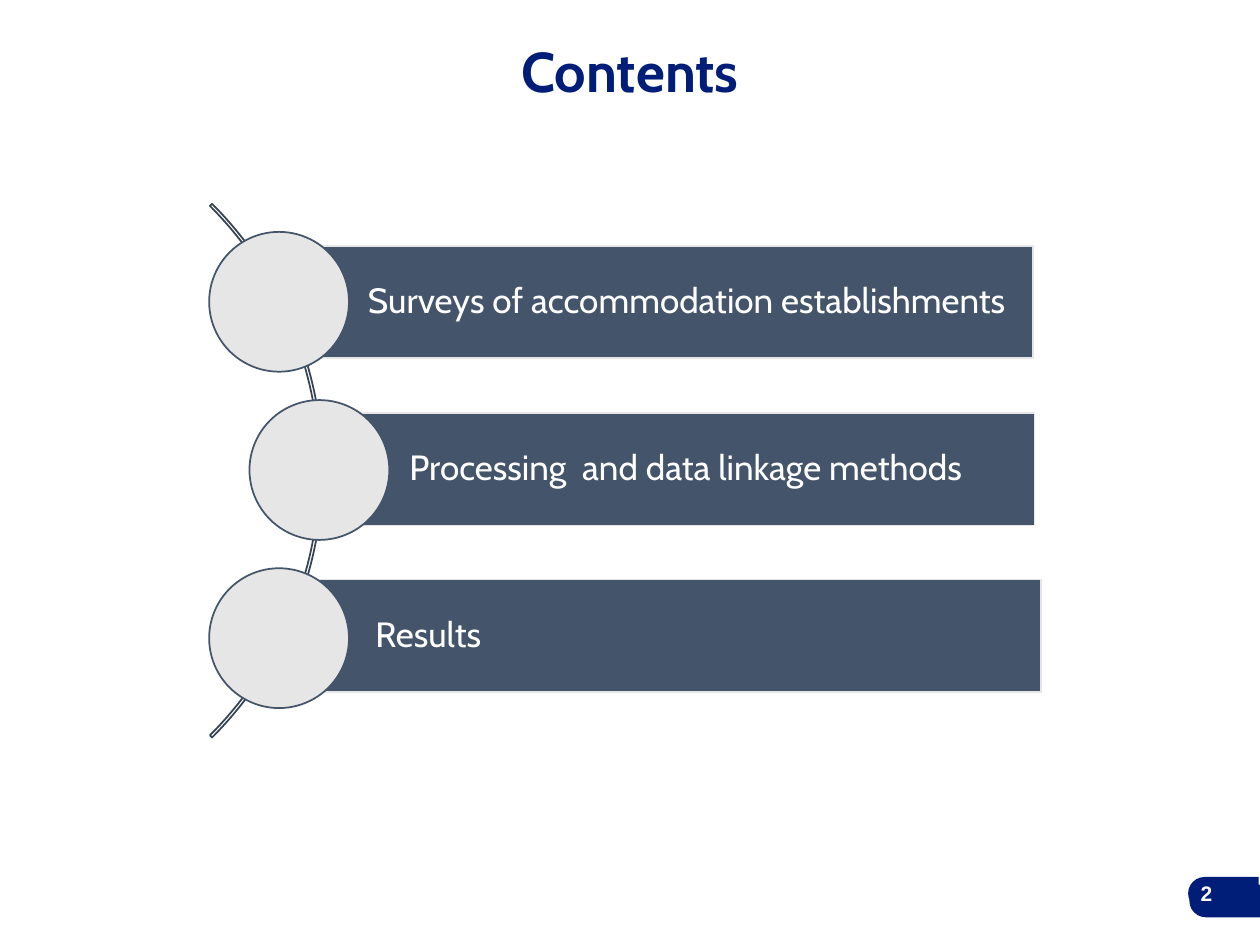
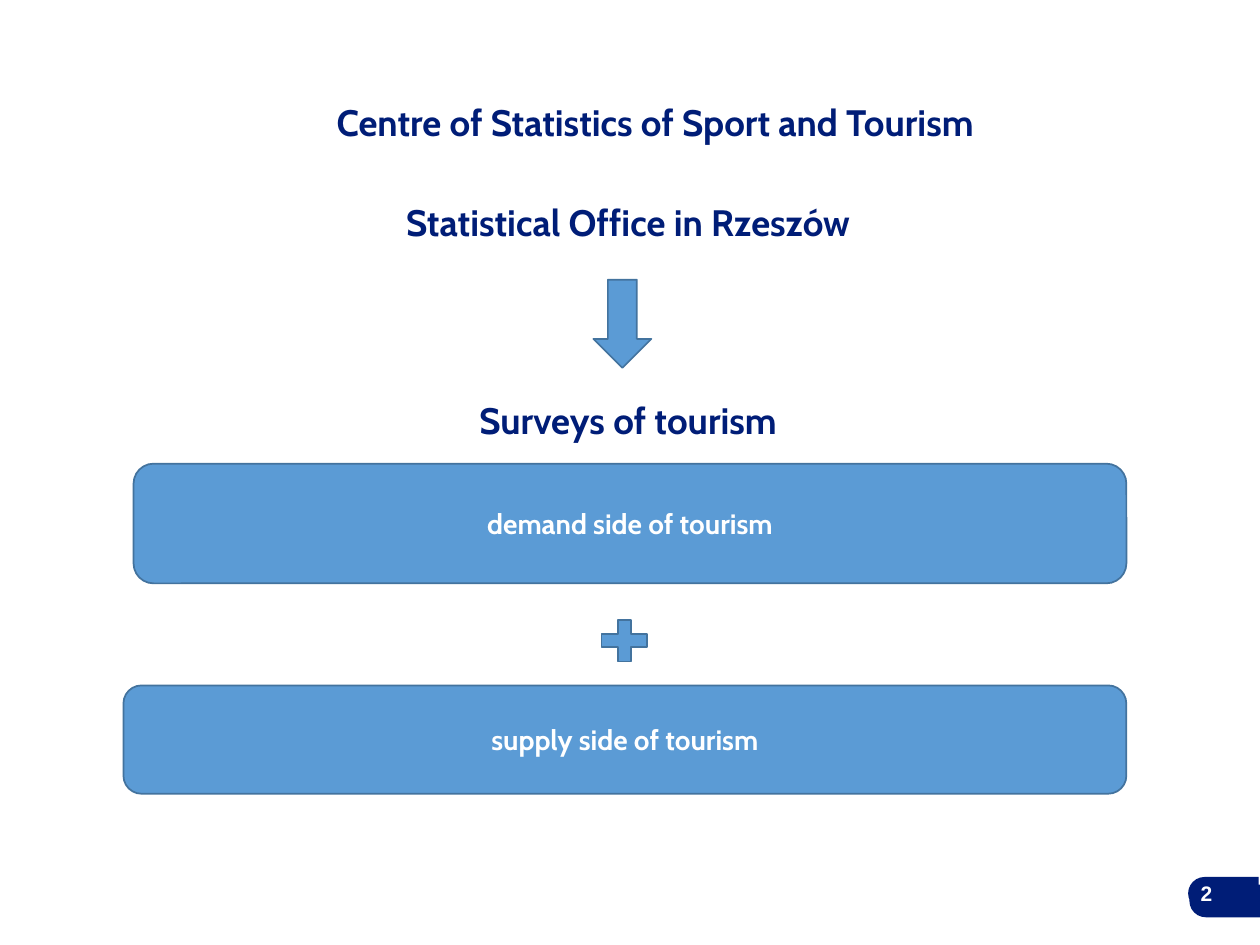
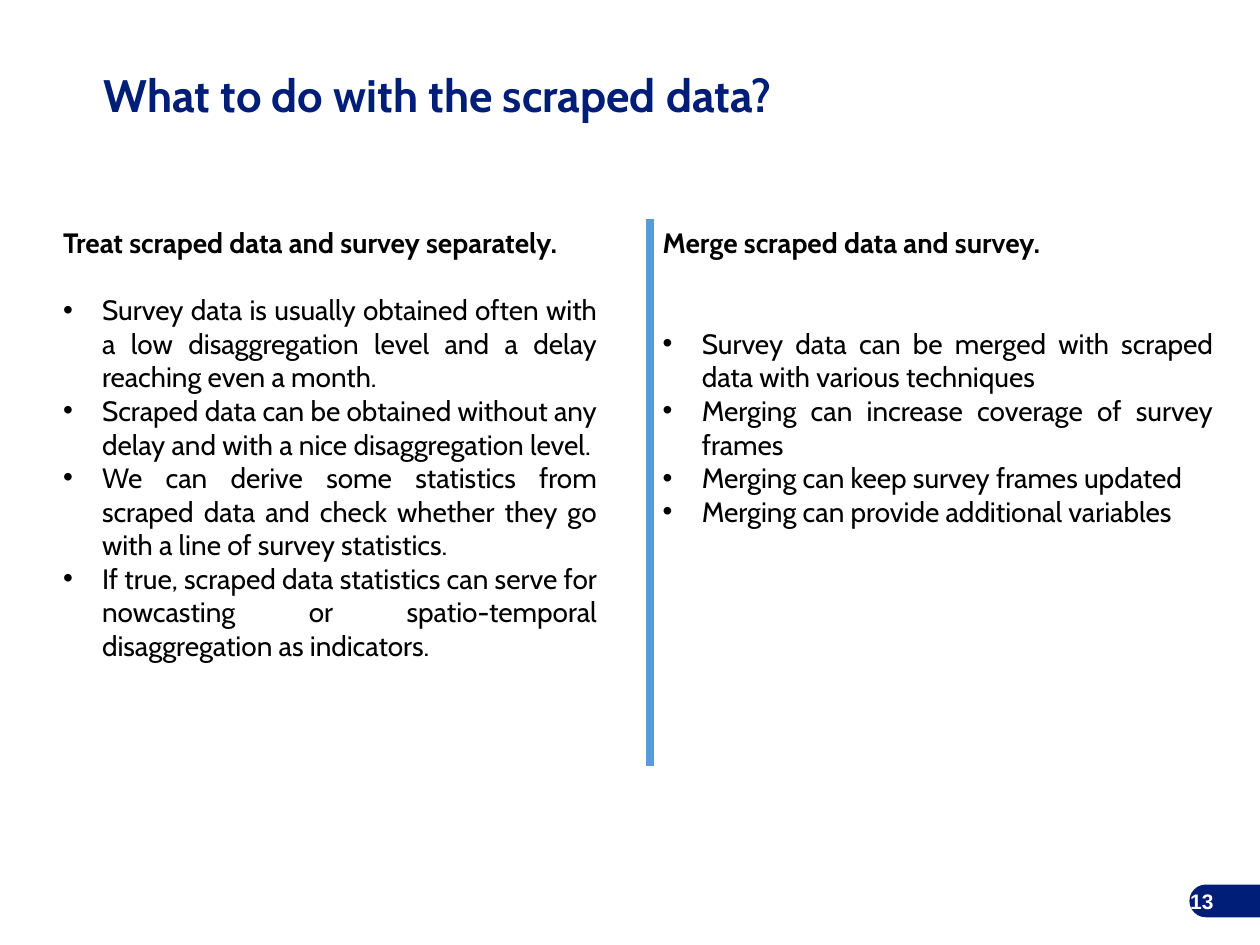
from dataclasses import dataclass

from lxml.etree import SubElement
from pptx import Presentation
from pptx.dml.color import RGBColor
from pptx.enum.shapes import MSO_CONNECTOR, MSO_SHAPE
from pptx.enum.text import MSO_ANCHOR, MSO_AUTO_SIZE, PP_ALIGN
from pptx.oxml.ns import qn
from pptx.util import Inches, Pt


@dataclass(frozen=True)
class Theme:
    navy: str = "001D77"
    slate: str = "44546A"
    arc_line: str = "364355"
    pale: str = "E7E6E6"
    blue: str = "5B9BD5"
    blue_line: str = "43739E"
    white: str = "FFFFFF"
    black: str = "000000"
    font: str = "Cabin"
    number_font: str = "Arial"
    title_size: int = 32
    question_size: int = 26
    office_size: int = 21
    bar_size: int = 20
    body_size: int = 16
    number_size: int = 12


THEME = Theme()
SLIDE_WIDTH, SLIDE_HEIGHT = 10, 7.5
TITLE_ONLY, TITLE_AND_CONTENT, TWO_CONTENT = 5, 1, 3

# Text, circle left, bar left, bar right, bar top
CONTENTS = [
    ("Surveys of accommodation establishments", 1.66, 2.21, 8.2, 1.95),
    ("Processing  and data linkage methods", 1.98, 2.54, 8.21, 3.28),
    ("Results", 1.66, 2.27, 8.26, 4.6),
]
CIRCLE_TOP, CIRCLE_PITCH, CIRCLE_SIZE, BAR_HEIGHT = 1.84, 1.335, 1.11, 0.89

OFFICE_TITLE = "Centre of Statistics of Sport and Tourism"
OFFICE_LINES = ["Statistical Office in Rzeszów", "Surveys of tourism"]
# Preset, text, box
OFFICE_SHAPES = [
    (MSO_SHAPE.DOWN_ARROW, "", (4.71, 2.22, 0.46, 0.7)),
    (MSO_SHAPE.ROUNDED_RECTANGLE, "demand side of tourism", (1.06, 3.68, 7.88, 0.95)),
    (MSO_SHAPE.MATH_PLUS, "", (4.71, 4.86, 0.49, 0.45)),
    (MSO_SHAPE.ROUNDED_RECTANGLE, "supply side of tourism", (0.98, 5.44, 7.96, 0.86)),
]

# Heading, gap after it in points, box, bullets
SCRAPED_COLUMNS = [
    ("Treat scraped data and survey separately.", 19.2, (0.4, 1.74, 4.44, 4.14), [
        "Survey data is usually obtained often with a low disaggregation level "
        "and a delay reaching even a month.",
        "Scraped data can be obtained without any delay and with a nice "
        "disaggregation level.",
        "We can derive some statistics from scraped data and check whether "
        "they go with a line of survey statistics.",
        "If true, scraped data statistics can serve for nowcasting or "
        "spatio-temporal disaggregation as indicators.",
    ]),
    ("Merge scraped data and survey.", 38.4, (5.16, 1.74, 4.57, 3.06), [
        "Survey data can be merged with scraped data with various techniques",
        "Merging can increase coverage of survey frames",
        "Merging can keep survey frames updated",
        "Merging can provide additional variables",
    ]),
]
DIVIDER_X, DIVIDER_TOP, DIVIDER_BOTTOM = 5.16, 1.74, 6.08
BULLET_INDENT = 0.31

TAB_WIDTH, TAB_HEIGHT = 0.56, 0.26
BACK_TAB, FRONT_TAB = (9.44, 7.02), (9.43, 6.96)
NUMBER_BOX, NARROW_NUMBER_BOX = (7.47, 6.89, 2.25, 0.4), (9.27, 6.95, 0.46, 0.4)


def color(value):
    return RGBColor.from_string(value)


def inches(box):
    return [Inches(length) for length in box]


def style(paragraph, size, text_color, bold=False, align=PP_ALIGN.LEFT,
          font=THEME.font, line_spacing=1.0, space_before=0):
    paragraph.alignment = align
    paragraph.line_spacing = line_spacing
    paragraph.space_before = Pt(space_before)
    paragraph.font.name = font
    paragraph.font.size = Pt(size)
    paragraph.font.bold = bold
    paragraph.font.color.rgb = color(text_color)


def set_bullet(paragraph, character=None):
    """Give the paragraph a hanging bullet, or none without a character."""
    properties = paragraph._p.get_or_add_pPr()
    indent = Inches(BULLET_INDENT) if character else 0
    properties.set("marL", str(indent))
    properties.set("indent", str(-indent))
    if character:
        SubElement(properties, qn("a:buChar")).set("char", character)
    else:
        SubElement(properties, qn("a:buNone"))


def place(placeholder, box, anchor=MSO_ANCHOR.TOP):
    placeholder.left, placeholder.top, placeholder.width, placeholder.height = inches(box)
    frame = placeholder.text_frame
    frame.auto_size = MSO_AUTO_SIZE.NONE
    frame.vertical_anchor = anchor
    return frame


def set_title(slide, text, box, size, align=PP_ALIGN.CENTER):
    frame = place(slide.shapes.title, box)
    frame.text = text
    style(frame.paragraphs[0], size, THEME.navy, True, align)


def add_shape(slide, preset, box, fill=None, line=None):
    shape = slide.shapes.add_shape(preset, *inches(box))
    shape.shadow.inherit = False
    if fill:
        shape.fill.solid()
        shape.fill.fore_color.rgb = color(fill)
    else:
        shape.fill.background()
    if line:
        shape.line.color.rgb = color(line)
        shape.line.width = Pt(1)
    else:
        shape.line.fill.background()
    return shape


def add_page_number(slide, number, tabs, box):
    for left, top in tabs:
        # Drawn upright about the same centre, then turned to round the left side
        shift = (TAB_WIDTH - TAB_HEIGHT) / 2
        tab = add_shape(slide, MSO_SHAPE.ROUND_2_SAME_RECTANGLE,
                        (left + shift, top - shift, TAB_HEIGHT, TAB_WIDTH), THEME.navy)
        tab.adjustments[0] = 0.5
        tab.rotation = 270
    frame = slide.shapes.add_textbox(*inches(box)).text_frame
    frame.word_wrap = True
    frame.vertical_anchor = MSO_ANCHOR.MIDDLE
    frame.text = number
    style(frame.paragraphs[0], THEME.number_size, THEME.white, True,
          PP_ALIGN.RIGHT, THEME.number_font)


def add_slide(presentation, layout):
    return presentation.slides.add_slide(presentation.slide_layouts[layout])


def build_contents(presentation):
    slide = add_slide(presentation, TITLE_ONLY)
    set_title(slide, "Contents", (0.3, 0.24, 9.4, 0.64), THEME.title_size)
    arc = add_shape(slide, MSO_SHAPE.BLOCK_ARC, (-3.43, 0.74, 5.99, 5.99),
                    line=THEME.arc_line)
    for index, value in enumerate((189, 27, 0.004)):
        arc.adjustments[index] = value
    for row, (text, circle_left, left, right, top) in enumerate(CONTENTS):
        bar = add_shape(slide, MSO_SHAPE.RECTANGLE, (left, top, right - left, BAR_HEIGHT),
                        THEME.slate, THEME.pale)
        frame = bar.text_frame
        frame.margin_left = Inches(0.71)
        frame.margin_right = frame.margin_top = frame.margin_bottom = Inches(0.06)
        frame.text = text
        style(frame.paragraphs[0], THEME.bar_size, THEME.white, line_spacing=0.9)
        circle_top = CIRCLE_TOP + row * CIRCLE_PITCH
        add_shape(slide, MSO_SHAPE.OVAL, (circle_left, circle_top, CIRCLE_SIZE, CIRCLE_SIZE),
                  THEME.pale, THEME.slate)
    add_page_number(slide, "2", [BACK_TAB, FRONT_TAB], NUMBER_BOX)


def build_office(presentation):
    slide = add_slide(presentation, TITLE_AND_CONTENT)
    set_title(slide, OFFICE_TITLE, (0.5, 0.74, 9.4, 0.45), THEME.office_size)
    frame = place(slide.placeholders[1], (0.26, 1.52, 9.45, 2.04), MSO_ANCHOR.BOTTOM)
    frame.margin_left = frame.margin_right = 0
    frame.text = "\n".join(OFFICE_LINES)
    for paragraph, gap in zip(frame.paragraphs, (0, 90.5)):
        set_bullet(paragraph)
        style(paragraph, THEME.office_size, THEME.navy, True, PP_ALIGN.CENTER,
              line_spacing=0.9, space_before=gap)
    for preset, text, box in OFFICE_SHAPES:
        shape = add_shape(slide, preset, box, THEME.blue, THEME.blue_line)
        if text:
            shape.text_frame.text = text
            style(shape.text_frame.paragraphs[0], THEME.body_size, THEME.white, True,
                  PP_ALIGN.CENTER)
    add_page_number(slide, "2", [BACK_TAB, FRONT_TAB], NUMBER_BOX)


def build_scraped_data(presentation):
    slide = add_slide(presentation, TWO_CONTENT)
    set_title(slide, "What to do with the scraped data?", (0.72, 0.48, 7.61, 0.54),
              THEME.question_size, PP_ALIGN.LEFT)
    for index, (heading, gap, box, bullets) in enumerate(SCRAPED_COLUMNS, start=1):
        frame = place(slide.placeholders[index], box)
        frame.text = "\n".join([heading, *bullets])
        for line, paragraph in enumerate(frame.paragraphs):
            set_bullet(paragraph, "•" if line else None)
            style(paragraph, THEME.body_size, THEME.black, line == 0, PP_ALIGN.JUSTIFY,
                  space_before=gap if line == 1 else 0)
    divider = slide.shapes.add_connector(
        MSO_CONNECTOR.STRAIGHT,
        *inches((DIVIDER_X, DIVIDER_TOP, DIVIDER_X, DIVIDER_BOTTOM)))
    divider.line.color.rgb = color(THEME.blue)
    divider.line.width = Pt(4.5)
    SubElement(divider._element.spPr, qn("a:effectLst"))
    add_page_number(slide, "13", [BACK_TAB], NARROW_NUMBER_BOX)


def main():
    presentation = Presentation()
    presentation.slide_width = Inches(SLIDE_WIDTH)
    presentation.slide_height = Inches(SLIDE_HEIGHT)
    build_contents(presentation)
    build_office(presentation)
    build_scraped_data(presentation)
    presentation.save("out.pptx")


if __name__ == "__main__":
    main()
